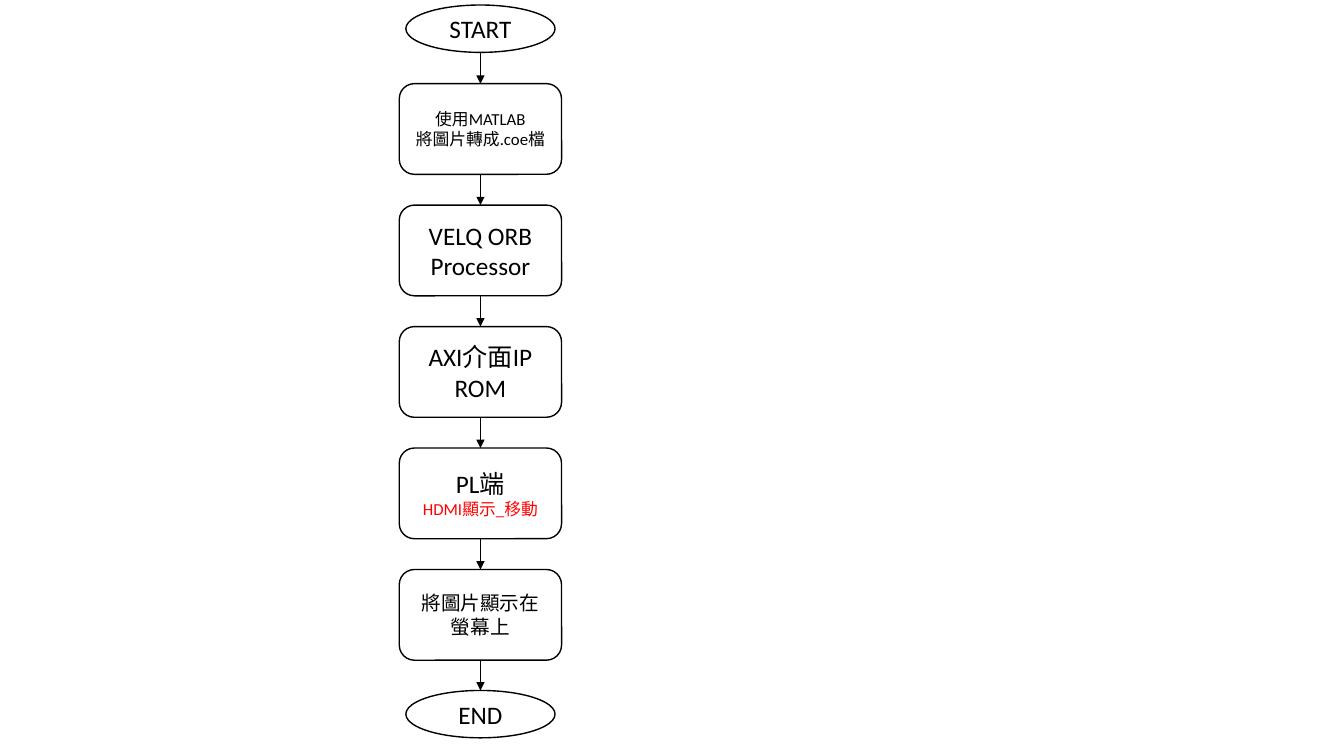
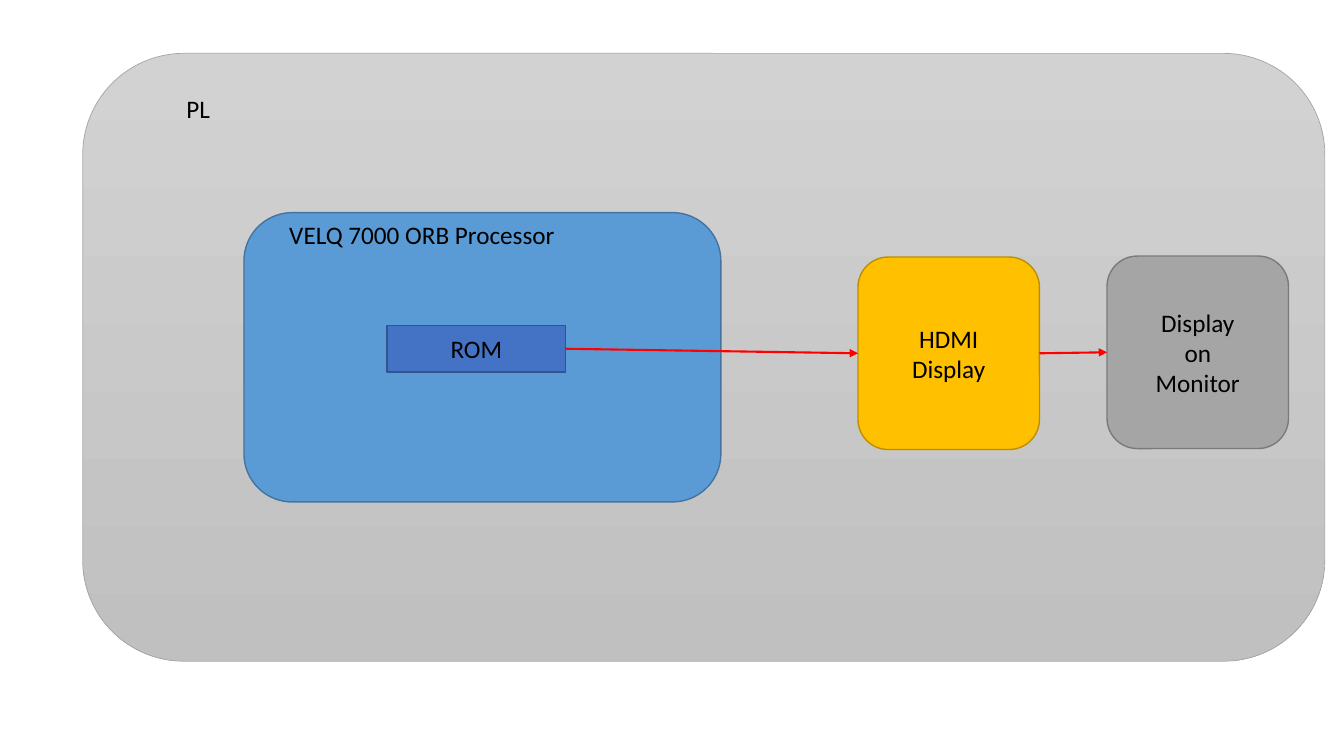
from lxml import etree
from pptx import Presentation
from pptx.dml.color import RGBColor
from pptx.enum import shapes, text
from pptx.oxml import ns
from pptx.util import Inches, Pt

COLORS = {
    "black": "000000", "white": "FFFFFF", "red": "FF0000",
    "pl_top": "D2D2D2", "pl_bottom": "C0C0C0", "pl_line": "A5A5A5",
    "cpu": "5B9BD5", "cpu_line": "43739E",
    "rom": "4472C4", "rom_line": "325491",
    "hdmi": "FFC000", "hdmi_line": "BD8E00",
    "monitor": "A5A5A5", "monitor_line": "7A7A7A",
}
FONT = "Calibri"
RECT, ROUND, OVAL = (shapes.MSO_SHAPE.RECTANGLE, shapes.MSO_SHAPE.ROUNDED_RECTANGLE,
                     shapes.MSO_SHAPE.OVAL)
# Connection sites; an oval has eight, so its bottom has another number
TOP, LEFT, BOTTOM, RIGHT, OVAL_BOTTOM = 0, 1, 2, 3, 4


def rgb(name):
    return RGBColor.from_string(COLORS[name])


def write(sp, paragraphs, align=text.PP_ALIGN.CENTER):
    """Fill a shape with (text, size, colour) paragraphs; a "\\v" breaks a line."""
    tf = sp.text_frame
    for i, (words, size, color) in enumerate(paragraphs):
        p = tf.paragraphs[0] if i == 0 else tf.add_paragraph()
        p.text = words
        p.alignment = align
        for r in p.runs:
            for key, value in {"name": FONT, "size": Pt(size)}.items():
                setattr(r.font, key, value)
            r.font.color.rgb = rgb(color)


def add_box(slide, kind, box, fill, line, paragraphs=(), weight=1):
    sp = slide.shapes.add_shape(kind, *map(Inches, box))
    sp.shadow.inherit = False
    sp.fill.solid()
    sp.fill.fore_color.rgb = rgb(fill)
    sp.line.color.rgb = rgb(line)
    sp.line.width = Pt(weight)
    sp.text_frame.vertical_anchor = text.MSO_ANCHOR.MIDDLE
    write(sp, paragraphs)
    return sp


def add_label(slide, box, words):
    sp = slide.shapes.add_textbox(*map(Inches, box))
    sp.text_frame.word_wrap = False
    write(sp, [(words, 18, "black")], text.PP_ALIGN.LEFT)


def add_arrow(slide, start, start_site, end, end_site, color, weight):
    line = slide.shapes.add_connector(shapes.MSO_CONNECTOR.STRAIGHT, 0, 0, 0, 0)
    line.begin_connect(start, start_site)
    line.end_connect(end, end_site)
    if start.auto_shape_type == OVAL and start_site == BOTTOM:
        line._element.find(".//" + ns.qn("a:stCxn")).set("idx", str(OVAL_BOTTOM))
    line.line.color.rgb = rgb(color)
    line.line.width = Pt(weight)
    ln = line.line._get_or_add_ln()
    etree.SubElement(ln, ns.qn("a:tailEnd"), type="triangle")
    etree.SubElement(line._element.spPr, ns.qn("a:effectLst"))


def build_flowchart(slide, box):
    """Start, evenly spaced steps and end, centred in the column box."""
    left, top, width, height = box
    end_w, end_h, step_h = 1.48, 0.47, 0.9
    first, last = top + 0.78, top + 5.6
    steps = [
        [("使用MATLAB\v將圖片轉成.coe檔", 12, "black")],
        [("VELQ ORB", 18, "black"), ("Processor", 18, "black")],
        [("AXI介面IP\vROM", 18, "black")],
        [("PL端", 18, "black"), ("HDMI顯示_移動", 12, "red")],
        [("將圖片顯示在螢幕上", 14, "black")],
    ]
    pitch = (last - first) / (len(steps) - 1)

    def terminal(y, words):
        return add_box(slide, OVAL, (left + (width - end_w) / 2, y, end_w, end_h),
                       "white", "black", [(words, 18, "black")])

    nodes = [terminal(top, "START")]
    for i, step in enumerate(steps):
        nodes.append(add_box(slide, ROUND, (left, first + i * pitch, width, step_h),
                             "white", "black", step))
    nodes.append(terminal(top + height - end_h, "END"))
    for start, end in zip(nodes, nodes[1:]):
        add_arrow(slide, start, BOTTOM, end, TOP, "black", 0.5)


def build_block_diagram(slide, box):
    """The PL area with the processor, its ROM and the display chain."""
    left, top, width, height = box

    def at(x, y, w, h):
        return left + x, top + y, w, h

    area = add_box(slide, ROUND, box, "pl_top", "pl_line", weight=0.5)
    area.fill.gradient()
    area.fill.gradient_angle = 270
    for stop, color in zip(area.fill.gradient_stops, ("pl_top", "pl_bottom")):
        stop.color.rgb = rgb(color)
    add_label(slide, at(0.93, 0.35, 0.44, 0.4), "PL")

    add_box(slide, ROUND, at(1.6, 1.58, 4.73, 2.87), "cpu", "cpu_line")
    add_label(slide, at(1.95, 1.6, 2.95, 0.4), "VELQ 7000 ORB Processor")

    blocks = [
        ("rom", RECT, at(3.02, 2.7, 1.77, 0.46), ["ROM"]),
        ("hdmi", ROUND, at(7.69, 2.02, 1.8, 1.91), ["HDMI", "Display"]),
        ("monitor", ROUND, at(10.16, 2.01, 1.8, 1.91), ["Display\von", "Monitor"]),
    ]
    chain = [add_box(slide, kind, place, name, name + "_line",
                     [(words, 18, "black") for words in lines])
             for name, kind, place, lines in blocks]
    for start, end in zip(chain, chain[1:]):
        add_arrow(slide, start, RIGHT, end, LEFT, "red", 1.5)


def main():
    prs = Presentation()
    prs.slide_width, prs.slide_height = Inches(13.33), Inches(7.5)
    blank = prs.slide_layouts[6]
    build_flowchart(prs.slides.add_slide(blank), (3.96, 0.05, 1.61, 7.27))
    build_block_diagram(prs.slides.add_slide(blank), (0.82, 0.53, 12.32, 6.03))
    prs.save("out.pptx")


if __name__ == "__main__":
    main()
